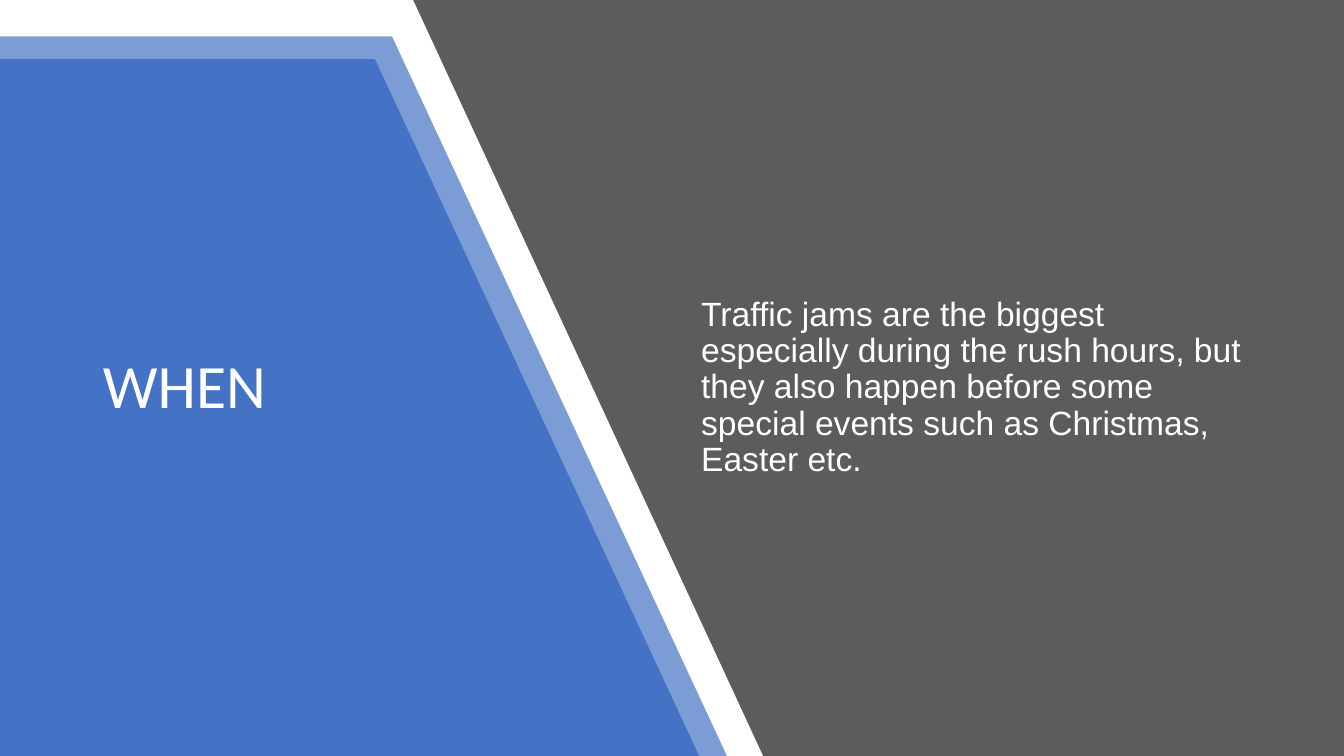
from lxml.etree import SubElement
from pptx import Presentation
from pptx.dml.color import RGBColor
from pptx.enum.shapes import MSO_SHAPE
from pptx.enum.text import MSO_ANCHOR, PP_ALIGN
from pptx.oxml.ns import qn
from pptx.util import Cm, Pt

WHITE, GREY, BLUE = "FFFFFF", "404040", "4472C4"
WIDE, HIGH = 33.87, 19.05


def color(code):
    return RGBColor.from_string(code)


class Deck:
    def __init__(self):
        self.show = Presentation()
        self.show.slide_width = Cm(WIDE)
        self.show.slide_height = Cm(HIGH)
        self.slide = self.show.slides.add_slide(self.show.slide_layouts[5])
        self.shapes = self.slide.shapes

    def paint(self, shape, code, alpha=100):
        shape.shadow.inherit = False
        shape.line.fill.background()
        shape.fill.solid()
        shape.fill.fore_color.rgb = color(code)
        if alpha < 100:
            tone = shape.element.spPr.find(".//" + qn("a:srgbClr"))
            SubElement(tone, qn("a:alpha"), val=str(alpha * 1000))

    def panel(self, code, alpha):
        shape = self.shapes.add_shape(
            MSO_SHAPE.RECTANGLE, 0, 0, Cm(WIDE), Cm(HIGH))
        self.paint(shape, code, alpha)

    def wedge(self, top, upper, lower, code, alpha=100):
        """Area from the left edge to a slanted right side."""
        form = self.shapes.build_freeform(0, Cm(top))
        form.add_line_segments([
            (Cm(upper), Cm(top)), (Cm(lower), Cm(HIGH)), (0, Cm(HIGH))])
        self.paint(form.convert_to_shape(), code, alpha)

    def label(self, shape, place, text, font, size, after=0):
        shape.left, shape.top, shape.width, shape.height = map(Cm, place)
        frame = shape.text_frame
        frame.word_wrap = True
        frame.vertical_anchor = MSO_ANCHOR.MIDDLE
        frame.text = text
        para = frame.paragraphs[0]
        para.alignment = PP_ALIGN.LEFT
        para.line_spacing = 0.9
        para.space_after = Pt(after)
        para.font.name = font
        para.font.size = Pt(size)
        para.font.color.rgb = color(WHITE)

    def title(self, place, text):
        shape = self.shapes.title
        shape.element.getparent().append(shape.element)  # bring to front
        self.label(shape, place, text, "Calibri", 44)

    def body(self, place, text):
        shape = self.shapes.add_textbox(0, 0, 0, 0)
        self.label(shape, place, text, "Arial", 24, after=6)


def main():
    deck = Deck()

    # Background and slanted bands
    deck.panel(GREY, 85)
    deck.wedge(0, 10.41, 19.23, WHITE)
    deck.wedge(0.92, 9.88, 18.32, BLUE, 70)
    deck.wedge(1.49, 9.45, 17.62, BLUE)

    # Text
    deck.title((2.34, 5.94, 9.47, 7.7), "WHEN")
    deck.body((17.42, 3.76, 14.12, 12.04),
              "Traffic jams are the biggest especially during the rush hours, "
              "but they also happen before some special events such as "
              "Christmas, Easter etc.")

    deck.show.save("out.pptx")


if __name__ == "__main__":
    main()
